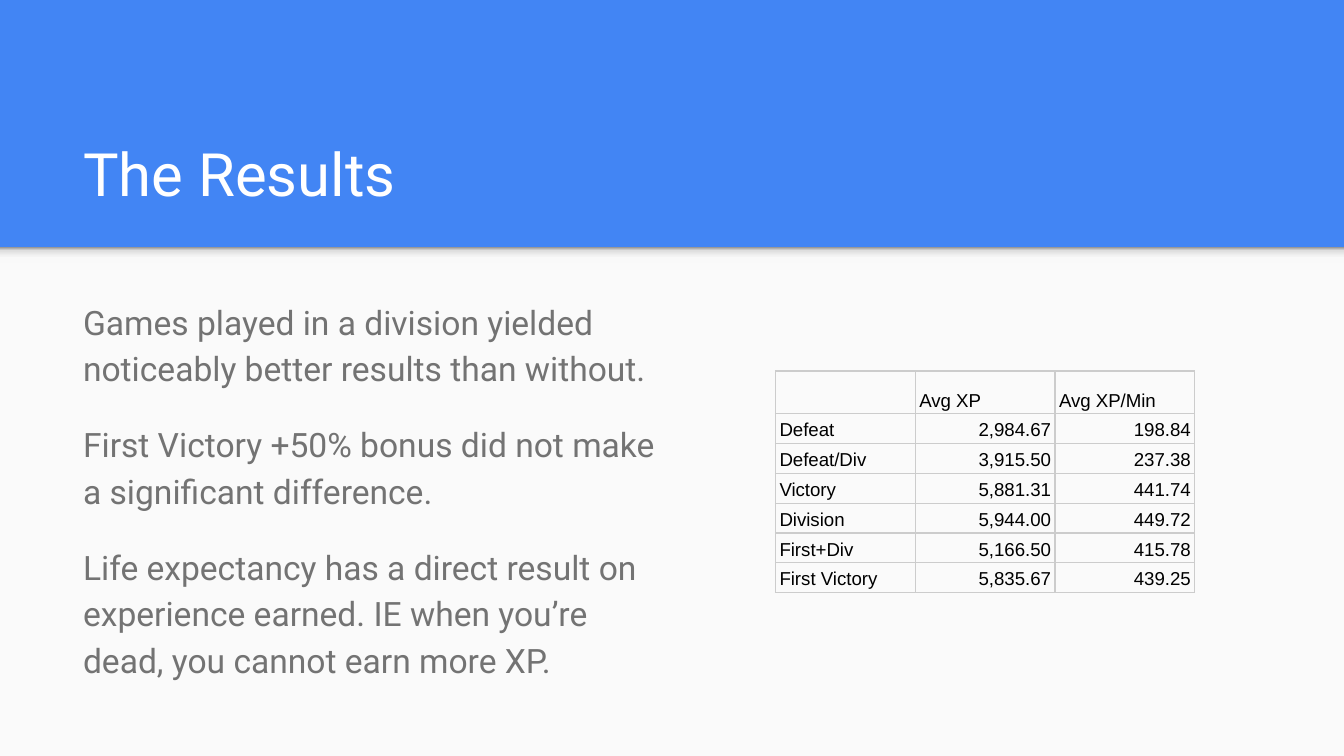
from lxml.etree import SubElement
from pptx import Presentation
from pptx.dml.color import RGBColor
from pptx.enum.shapes import MSO_SHAPE
from pptx.enum.text import MSO_ANCHOR, MSO_AUTO_SIZE, PP_ALIGN
from pptx.oxml import parse_xml
from pptx.oxml.ns import nsdecls, qn
from pptx.util import Inches, Pt

BLUE = RGBColor(0x42, 0x85, 0xF4)
PAPER = RGBColor(0xFA, 0xFA, 0xFA)
WHITE = RGBColor(0xFF, 0xFF, 0xFF)
GRAY = RGBColor(0x73, 0x73, 0x73)
BLACK = RGBColor(0, 0, 0)
BORDER = RGBColor(0xCC, 0xCC, 0xCC)
# Stop position in percent and colour, from the bottom edge up
SHADE_STOPS = [
    (0, RGBColor(0xF9, 0xF9, 0xF9)),
    (36, RGBColor(0xF9, 0xF9, 0xF9)),
    (80, RGBColor(0xDE, 0xDE, 0xDE)),
    (100, RGBColor(0x99, 0x99, 0x99)),
]

FINDINGS = [
    "Games played in a division yielded noticeably better results than without.",
    "First Victory +50% bonus did not make a significant difference.",
    "Life expectancy has a direct result on experience earned. "
    "IE when you’re dead, you cannot earn more XP.",
]
RESULTS = [
    ("", "Avg XP", "Avg XP/Min"),
    ("Defeat", "2,984.67", "198.84"),
    ("Defeat/Div", "3,915.50", "237.38"),
    ("Victory", "5,881.31", "441.74"),
    ("Division", "5,944.00", "449.72"),
    ("First+Div", "5,166.50", "415.78"),
    ("First Victory", "5,835.67", "439.25"),
]


def style_font(para, name, size, color):
    para.font.name = name
    para.font.size = Pt(size)
    para.font.color.rgb = color


def add_panel(slide, top, height):
    panel = slide.shapes.add_shape(
        MSO_SHAPE.RECTANGLE, 0, Inches(top), Inches(10), height)
    panel.shadow.inherit = False
    panel.fill.solid()
    panel.fill.fore_color.rgb = PAPER
    panel.line.fill.background()
    return panel


def shade(panel):
    """Replace the solid fill with a vertical gradient."""
    stops = "".join(
        f'<a:gs pos="{pos * 1000}"><a:srgbClr val="{color}"/></a:gs>'
        for pos, color in SHADE_STOPS)
    gradient = parse_xml(
        f'<a:gradFill {nsdecls("a")} rotWithShape="1"><a:gsLst>{stops}</a:gsLst>'
        '<a:lin ang="16200000" scaled="0"/></a:gradFill>')
    properties = panel.element.spPr
    properties.replace(properties.find(qn("a:solidFill")), gradient)


def set_title(slide, text):
    title = slide.shapes.title
    title.left, title.top = Inches(0.52), Inches(0.81)
    title.width, title.height = Inches(8.99), Inches(0.84)
    frame = title.text_frame
    frame.text = text
    frame.auto_size = MSO_AUTO_SIZE.NONE
    frame.vertical_anchor = MSO_ANCHOR.BOTTOM
    frame.margin_left = frame.margin_right = Inches(0.1)
    frame.margin_top = frame.margin_bottom = Inches(0.1)
    para = frame.paragraphs[0]
    para.alignment = PP_ALIGN.LEFT
    style_font(para, "Roboto", 32, WHITE)


def add_findings(slide):
    box = slide.shapes.add_textbox(
        Inches(0.52), Inches(2.1), Inches(4.53), Inches(2.96))
    frame = box.text_frame
    frame.word_wrap = True
    frame.margin_left = frame.margin_right = Inches(0.1)
    frame.margin_top = frame.margin_bottom = Inches(0.1)
    for index, text in enumerate(FINDINGS):
        para = frame.add_paragraph() if index else frame.paragraphs[0]
        para.text = text
        para.line_spacing = 1.15
        if index:
            para.space_before = Pt(16)
        style_font(para, "Roboto", 18, GRAY)


def add_borders(cell):
    properties = cell._tc.get_or_add_tcPr()
    for index, side in enumerate(("lnL", "lnR", "lnT", "lnB")):
        line = properties.makeelement(qn(f"a:{side}"), {"w": str(Pt(0.75))})
        fill = SubElement(line, qn("a:solidFill"))
        SubElement(fill, qn("a:srgbClr"), val=str(BORDER))
        properties.insert(index, line)  # borders come before the cell's fill


def fill_cell(cell, text, alignment):
    cell.fill.background()
    cell.vertical_anchor = MSO_ANCHOR.BOTTOM
    cell.margin_left = cell.margin_right = Inches(0.03)
    cell.margin_top, cell.margin_bottom = Inches(0.01), Inches(0.02)
    cell.text = text
    para = cell.text_frame.paragraphs[0]
    para.alignment = alignment
    para.line_spacing = 1.15
    style_font(para, "Arial", 10, BLACK)
    add_borders(cell)


def add_results(slide):
    table = slide.shapes.add_table(
        len(RESULTS), len(RESULTS[0]), Inches(5.77), Inches(2.76),
        Inches(3.12), Inches(1.64)).table
    table.first_row = table.horz_banding = False
    for column in table.columns:
        column.width = Inches(1.04)
    for r, values in enumerate(RESULTS):
        table.rows[r].height = Inches(0.22 if r else 0.32)
        for c, text in enumerate(values):
            is_number = r > 0 and c > 0
            fill_cell(table.cell(r, c), text,
                      PP_ALIGN.RIGHT if is_number else PP_ALIGN.LEFT)


def main():
    deck = Presentation()
    deck.slide_width = Inches(10)
    deck.slide_height = deck.slide_width * 9 // 16
    slide = deck.slides.add_slide(deck.slide_layouts[5])

    # Blue header above a light panel with a soft shade at its top edge
    slide.background.fill.solid()
    slide.background.fill.fore_color.rgb = BLUE
    add_panel(slide, 1.84, deck.slide_height - Inches(1.84))
    shade(add_panel(slide, 1.84, Inches(0.12)))

    # Content
    set_title(slide, "The Results")
    add_findings(slide)
    add_results(slide)
    deck.save("out.pptx")


if __name__ == "__main__":
    main()
